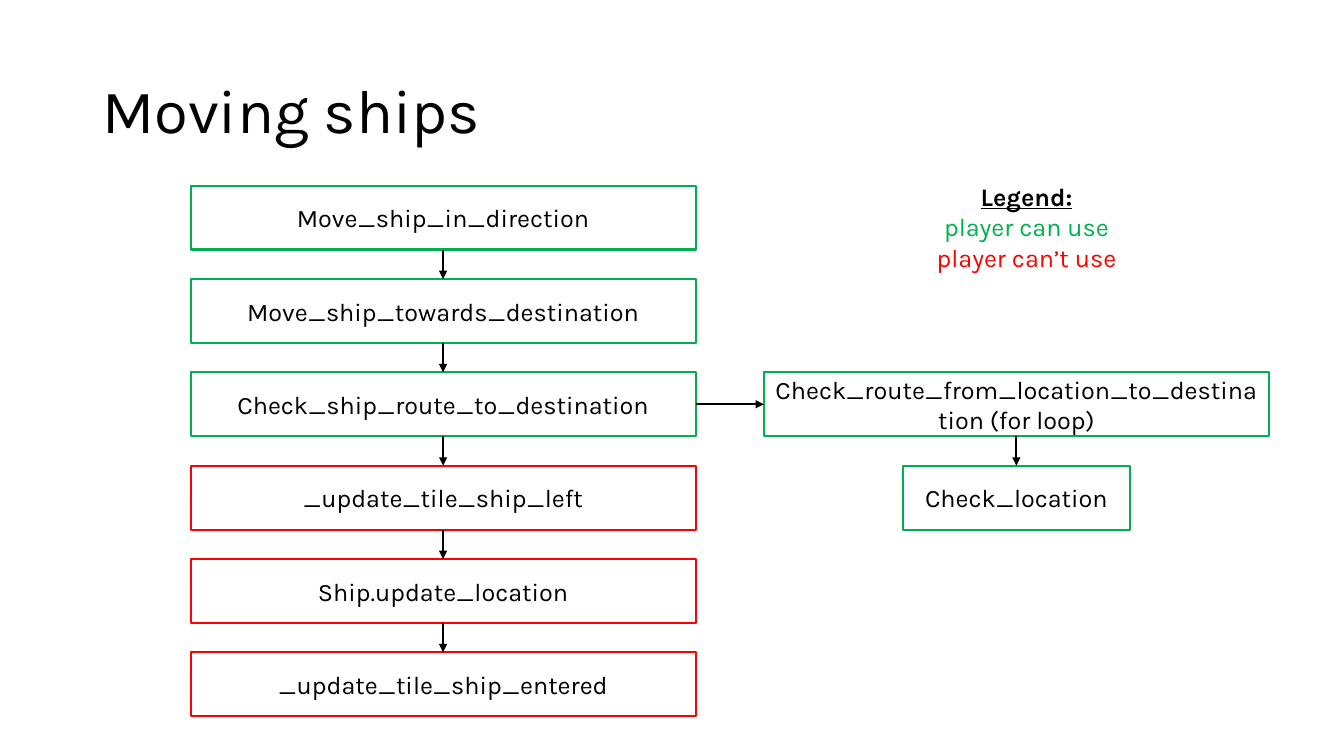
from dataclasses import dataclass

import pptx
import pptx.dml.color
import pptx.enum.shapes
import pptx.enum.text
import pptx.oxml
import pptx.oxml.ns
import pptx.util
from pptx.shapes.autoshape import Shape
from pptx.slide import Slide

Pt = pptx.util.Pt
RGB = pptx.dml.color.RGBColor
ALIGN = pptx.enum.text.PP_ALIGN
ANCHOR = pptx.enum.text.MSO_ANCHOR


@dataclass(frozen=True)
class Theme:
    font: str = "Karla"
    title_size: float = 44
    body_size: float = 18
    line_width: float = 1.5
    ink: RGB = RGB(0, 0, 0)
    usable: RGB = RGB(0x00, 0xB0, 0x50)
    blocked: RGB = RGB(0xFF, 0, 0)


@dataclass(frozen=True)
class Step:
    label: str
    center: float
    row: int
    color: RGB
    width: float = 360.7


@dataclass(frozen=True)
class Arrow:
    start: str
    start_site: int
    end: str
    end_site: int


THEME = Theme()
BOTTOM, RIGHT, TOP, LEFT = 2, 3, 0, 1
FIRST_TOP, ROW_PITCH, STEP_HEIGHT = 132.6, 66.67, 45.7
MAIN_CENTER, SIDE_CENTER = 316.5, 726.0

MAIN_STEPS = [
    Step(label, MAIN_CENTER, row, color)
    for row, (label, color) in enumerate([
        ("Move_ship_in_direction", THEME.usable),
        ("Move_ship_towards_destination", THEME.usable),
        ("Check_ship_route_to_destination", THEME.usable),
        ("_update_tile_ship_left", THEME.blocked),
        ("Ship.update_location", THEME.blocked),
        ("_update_tile_ship_entered", THEME.blocked),
    ])
]
SIDE_STEPS = [
    Step("Check_route_from_location_to_destination (for loop)", SIDE_CENTER, 2, THEME.usable),
    Step("Check_location", SIDE_CENTER, 3, THEME.usable, 162),
]
ARROWS = [
    Arrow(a.label, BOTTOM, b.label, TOP)
    for chain in (MAIN_STEPS, SIDE_STEPS)
    for a, b in zip(chain, chain[1:])
] + [Arrow(MAIN_STEPS[2].label, RIGHT, SIDE_STEPS[0].label, LEFT)]


def add_text_box(s: Slide, left: float, top: float, width: float, height: float) -> Shape:
    sp = s.shapes.add_textbox(Pt(left), Pt(top), Pt(width), Pt(height))
    sp.text_frame.word_wrap = True
    return sp


def style_paragraph(p, size: float, color: RGB) -> None:
    p.font.name = THEME.font
    p.font.size = Pt(size)
    p.font.color.rgb = color


def add_title(s: Slide, text: str) -> None:
    tf = add_text_box(s, 66, 28.8, 828, 104.4).text_frame
    tf.vertical_anchor = ANCHOR.MIDDLE
    p = tf.paragraphs[0]
    p.text = text
    p.line_spacing = 0.9
    style_paragraph(p, THEME.title_size, THEME.ink)


def add_step(s: Slide, step: Step) -> Shape:
    sp = s.shapes.add_shape(
        pptx.enum.shapes.MSO_SHAPE.RECTANGLE,
        Pt(step.center - step.width / 2), Pt(FIRST_TOP + step.row * ROW_PITCH),
        Pt(step.width), Pt(STEP_HEIGHT),
    )
    sp.shadow.inherit = False
    sp.fill.background()
    sp.line.color.rgb = step.color
    sp.line.width = Pt(THEME.line_width)
    tf = sp.text_frame
    tf.word_wrap = True
    tf.vertical_anchor = ANCHOR.MIDDLE
    p = tf.paragraphs[0]
    p.text = step.label
    p.alignment = ALIGN.CENTER
    style_paragraph(p, THEME.body_size, THEME.ink)
    return sp


def add_arrow(s: Slide, arrow: Arrow, shapes: dict[str, Shape]) -> None:
    c = s.shapes.add_connector(pptx.enum.shapes.MSO_CONNECTOR.STRAIGHT, 0, 0, 0, 0)
    c.begin_connect(shapes[arrow.start], arrow.start_site)
    c.end_connect(shapes[arrow.end], arrow.end_site)
    c.line.color.rgb = THEME.ink
    c.line.width = Pt(THEME.line_width)
    ln = c.line._get_or_add_ln()
    tail = pptx.oxml.parse_xml(f'<a:tailEnd {pptx.oxml.ns.nsdecls("a")} type="triangle"/>')
    ln.append(tail)
    effects = pptx.oxml.parse_xml(f'<a:effectLst {pptx.oxml.ns.nsdecls("a")}/>')
    ln.addnext(effects)


def add_legend(s: Slide) -> None:
    tf = add_text_box(s, 651.6, 126, 163.4, 72.7).text_frame
    entries = [
        ("Legend:", THEME.ink),
        ("player can use", THEME.usable),
        ("player can’t use", THEME.blocked),
    ]
    tf.text = "\n".join(text for text, _ in entries)
    for p, (_, color) in zip(tf.paragraphs, entries):
        p.alignment = ALIGN.CENTER
        style_paragraph(p, THEME.body_size, color)
    heading = tf.paragraphs[0].font
    heading.bold = True
    heading.underline = True


def main() -> None:
    prs = pptx.Presentation()
    prs.slide_width, prs.slide_height = Pt(960), Pt(540)
    s = prs.slides.add_slide(prs.slide_layouts[6])
    add_title(s, "Moving ships")
    shapes = {step.label: add_step(s, step) for step in MAIN_STEPS + SIDE_STEPS}
    for arrow in ARROWS:
        add_arrow(s, arrow, shapes)
    add_legend(s)
    prs.save("out.pptx")


if __name__ == "__main__":
    main()
